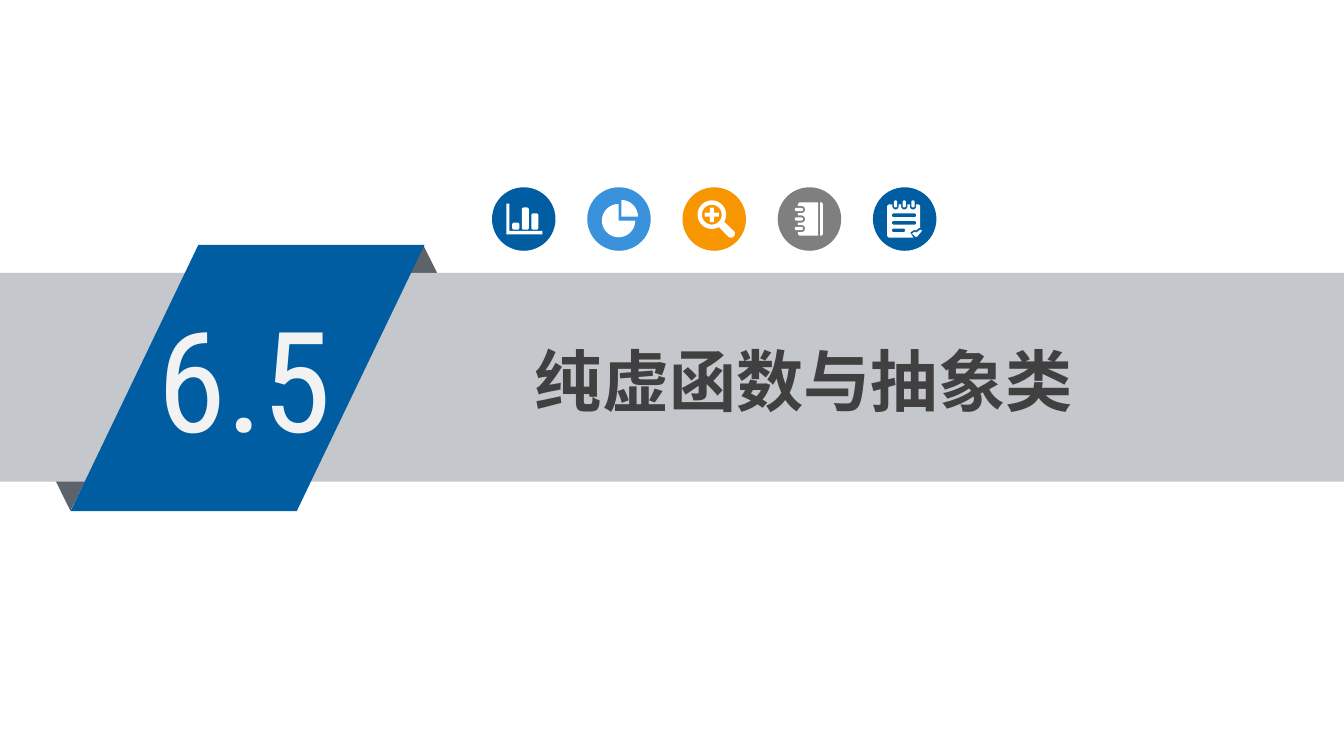
import math
from dataclasses import dataclass

import lxml.etree
import pptx
import pptx.dml.color
import pptx.enum.shapes
import pptx.enum.text
import pptx.oxml.ns
import pptx.shapes.autoshape
import pptx.shapes.shapetree
import pptx.util

Cm = pptx.util.Cm
RGBColor = pptx.dml.color.RGBColor
Preset = pptx.enum.shapes.MSO_SHAPE
Align = pptx.enum.text.PP_ALIGN
Shapes = pptx.shapes.shapetree.SlideShapes | pptx.shapes.shapetree.GroupShapes
Contour = list[tuple[float, float]]

WHITE = RGBColor(0xFF, 0xFF, 0xFF)
BLUE = RGBColor(0x00, 0x5D, 0xA2)
SKY = RGBColor(0x39, 0x92, 0xDB)
ORANGE = RGBColor(0xF7, 0x96, 0x00)
GREY = RGBColor(0x7F, 0x7F, 0x7F)
BAND = RGBColor(0xC4, 0xC7, 0xCB)
FOLD = RGBColor(0x5D, 0x63, 0x6A)
NUMBER = RGBColor(0xF2, 0xF2, 0xF2)
TITLE = RGBColor(0x40, 0x40, 0x40)

SLIDE_WIDTH, SLIDE_HEIGHT = 33.87, 19.05
BADGE_LEFT, BADGE_TOP, BADGE_SIZE, BADGE_PITCH = 12.4, 4.72, 1.6, 2.4


@dataclass(frozen=True)
class Panel:
    preset: Preset
    left: float
    top: float
    width: float
    height: float
    color: RGBColor
    rotation: float = 0
    slant: float | None = None


@dataclass(frozen=True)
class Label:
    text: str
    left: float
    top: float
    width: float
    height: float
    font: str
    size: int
    color: RGBColor
    bold: bool
    align: Align


@dataclass(frozen=True)
class Badge:
    color: RGBColor
    icon: list[Contour]


def arc(x: float, y: float, radius: float, start: float, end: float) -> Contour:
    steps = max(4, round(abs(end - start) / 10))
    angles = [math.radians(start + (end - start) * i / steps) for i in range(steps + 1)]
    return [(x + radius * math.cos(a), y + radius * math.sin(a)) for a in angles]


def rounded(left: float, top: float, right: float, bottom: float, radius: float) -> Contour:
    return (
        arc(left + radius, top + radius, radius, 180, 270)
        + arc(right - radius, top + radius, radius, 270, 360)
        + arc(right - radius, bottom - radius, radius, 0, 90)
        + arc(left + radius, bottom - radius, radius, 90, 180)
    )


def chart_icon() -> list[Contour]:
    axes = [(0.36, 0.41), (0.44, 0.41), (0.44, 1.1), (1.27, 1.1), (1.27, 1.19), (0.36, 1.19)]
    tops = [0.89, 0.51, 0.66]
    bars = [rounded(0.51 + 0.24 * i, top, 0.69 + 0.24 * i, 1.07, 0.05) for i, top in enumerate(tops)]
    return [axes] + bars


def pie_icon() -> list[Contour]:
    slice_out = [(0.86, 0.74)] + arc(0.86, 0.74, 0.42, 270, 360)
    rest = [(0.79, 0.84)] + arc(0.79, 0.84, 0.42, 0, 270)
    return [slice_out, rest]


def magnifier_icon() -> list[Contour]:
    x, y, reach, half = 0.74, 0.69, 0.18, 0.05
    outline = arc(x, y, 0.36, 60, 390) + arc(1.22, 1.17, 0.1, -45, 135)
    corner = [(half, -reach), (half, -half), (reach, -half)]
    plus = []
    for _ in range(4):
        plus += [(x + dx, y + dy) for dx, dy in corner]
        corner = [(-dy, dx) for dx, dy in corner]
    return [outline, arc(x, y, 0.25, 0, 360), plus]


def notebook_icon() -> list[Contour]:
    ring_rows = [0.56, 0.8, 1.04]
    cover = [(0.55, 0.38), (1.02, 0.38), (1.02, 1.22), (0.55, 1.22), (0.51, 1.18)]
    for y in reversed(ring_rows):
        cover += [(0.51, y + 0.09)] + arc(0.6, y, 0.09, 90, -90) + [(0.51, y - 0.09)]
    cover.append((0.51, 0.42))
    spine = [(1.07, 0.38), (1.11, 0.38), (1.14, 0.42), (1.14, 1.18), (1.11, 1.22), (1.07, 1.22)]
    return [cover, spine] + [rounded(0.43, y - 0.04, 0.64, y + 0.04, 0.04) for y in ring_rows]


def notepad_icon() -> list[Contour]:
    ring_columns = [0.57, 0.79, 1.01]
    sheet = [(0.36, 0.47), (0.4, 0.43)]
    for x in ring_columns:
        sheet += [(x - 0.08, 0.43)] + arc(x, 0.48, 0.08, 180, 0) + [(x + 0.08, 0.43)]
    sheet += [(1.15, 0.43), (1.19, 0.47), (1.19, 1.02), (1.14, 1.04), (1.09, 1.09)]
    sheet += [(1.04, 1.07), (0.94, 1.14), (1.02, 1.27), (0.4, 1.27), (0.36, 1.23)]
    tick = [(1.24, 1.09), (1.19, 1.07), (1.09, 1.14), (1.04, 1.12), (0.99, 1.17), (1.07, 1.25), (1.12, 1.24)]
    rings = [rounded(x - 0.04, 0.33, x + 0.04, 0.51, 0.04) for x in ring_columns]
    lines = [
        rounded(0.48, top, right, top + 0.09, 0.04)
        for top, right in [(0.66, 1.09), (0.85, 1.09), (1.04, 0.81)]
    ]
    return [sheet, tick] + rings + lines


PANELS = [
    Panel(Preset.ISOSCELES_TRIANGLE, 9.14, 6.17, 3.05, 3.07, FOLD),
    Panel(Preset.ISOSCELES_TRIANGLE, 0.25, 9.8, 3.05, 3.07, FOLD, rotation=180),
    Panel(Preset.RECTANGLE, 0, 6.88, SLIDE_WIDTH, 5.26, BAND),
    Panel(Preset.PARALLELOGRAM, 1.78, 6.17, 8.92, 6.71, BLUE, slant=0.48),
]
LABELS = [
    Label("6.5", 3.71, 7.24, 5.05, 4.52, "Roboto Condensed", 100, NUMBER, False, Align.LEFT),
    Label("纯虚函数与抽象类", 10.69, 8.43, 19.13, 2.31, "Noto Sans CJK SC", 48, TITLE, True, Align.CENTER),
]
BADGES = [
    Badge(BLUE, chart_icon()),
    Badge(SKY, pie_icon()),
    Badge(ORANGE, magnifier_icon()),
    Badge(GREY, notebook_icon()),
    Badge(BLUE, notepad_icon()),
]


def paint(shape: pptx.shapes.autoshape.Shape, color: RGBColor) -> None:
    shape.shadow.inherit = False
    shape.fill.solid()
    shape.fill.fore_color.rgb = color
    shape.line.fill.background()


def draw_panel(shapes: Shapes, panel: Panel) -> None:
    shape = shapes.add_shape(
        panel.preset, Cm(panel.left), Cm(panel.top), Cm(panel.width), Cm(panel.height)
    )
    shape.rotation = panel.rotation
    if panel.slant is not None:
        shape.adjustments[0] = panel.slant
    paint(shape, panel.color)


def draw_label(shapes: Shapes, label: Label) -> None:
    box = shapes.add_textbox(Cm(label.left), Cm(label.top), Cm(label.width), Cm(label.height))
    box.text_frame.word_wrap = True
    para = box.text_frame.paragraphs[0]
    para.alignment = label.align
    span = para.add_run()
    span.text = label.text
    span.font.size = pptx.util.Pt(label.size)
    span.font.bold = label.bold
    span.font.color.rgb = label.color
    span.font.name = label.font
    properties = span._r.get_or_add_rPr()
    lxml.etree.SubElement(properties, pptx.oxml.ns.qn("a:ea")).set("typeface", label.font)


def draw_icon(shapes: Shapes, icon: list[Contour], left: float, top: float) -> None:
    contours = [[(Cm(left + x), Cm(top + y)) for x, y in contour] for contour in icon]
    builder = shapes.build_freeform(*contours[0][0])
    for contour in contours:
        builder.move_to(*contour[0])
        builder.add_line_segments(contour[1:], close=True)
    paint(builder.convert_to_shape(), WHITE)


def draw_badge(shapes: Shapes, badge: Badge, left: float) -> None:
    group = shapes.add_group_shape()
    disc = Panel(Preset.OVAL, left, BADGE_TOP, BADGE_SIZE, BADGE_SIZE, badge.color)
    draw_panel(group.shapes, disc)
    draw_icon(group.shapes, badge.icon, left, BADGE_TOP)


def main() -> None:
    deck = pptx.Presentation()
    deck.slide_width, deck.slide_height = Cm(SLIDE_WIDTH), Cm(SLIDE_HEIGHT)
    page = deck.slides.add_slide(deck.slide_layouts[6])
    for panel in PANELS:
        draw_panel(page.shapes, panel)
    for label in LABELS:
        draw_label(page.shapes, label)
    for index, badge in enumerate(BADGES):
        draw_badge(page.shapes, badge, BADGE_LEFT + index * BADGE_PITCH)
    deck.save("out.pptx")


if __name__ == "__main__":
    main()
